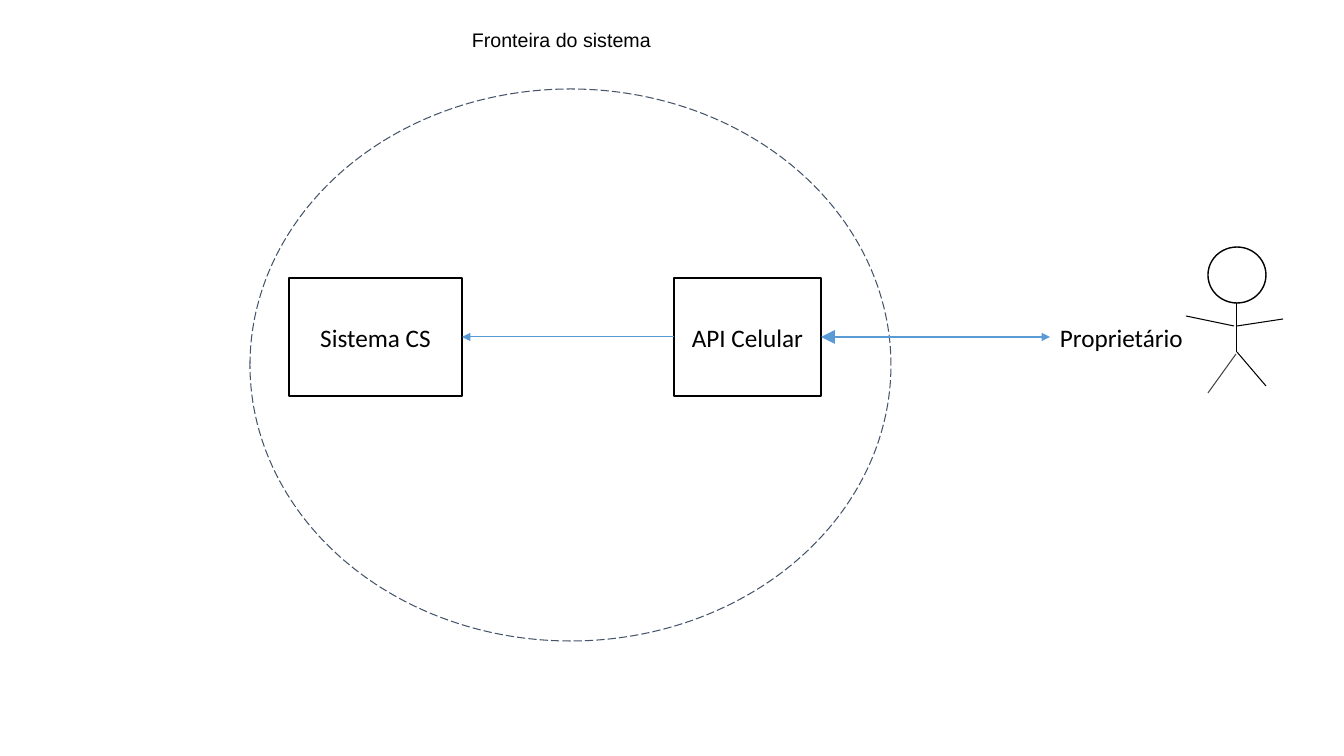
from dataclasses import dataclass

from lxml.etree import SubElement
from pptx import Presentation
from pptx.dml.color import RGBColor
from pptx.enum.dml import MSO_LINE
from pptx.enum.shapes import MSO_CONNECTOR, MSO_SHAPE
from pptx.enum.text import MSO_ANCHOR, PP_ALIGN
from pptx.oxml.ns import qn
from pptx.util import Pt

EMU_PER_PX = 914400 / 100.8


@dataclass(frozen=True)
class Theme:
    """Colours, fonts and type sizes of the slide."""
    ink: str = "000000"
    paper: str = "FFFFFF"
    leg: str = "434343"
    boundary: str = "44546A"
    link: str = "5B9BD5"
    call: str = "5698D3"
    body_font: str = "Calibri"
    title_font: str = "Arial"
    body_size: int = 18
    title_size: int = 14


THEME = Theme()


def px(n):
    """Turn pixels into EMU."""
    return round(n * EMU_PER_PX)


def rgb(value):
    """Turn a hex string into a colour."""
    return RGBColor.from_string(value)


def add_text(tf, text, font=THEME.body_font, size=THEME.body_size,
             align=PP_ALIGN.LEFT, anchor=MSO_ANCHOR.TOP):
    """Write one run into a text frame."""
    tf.vertical_anchor = anchor
    p = tf.paragraphs[0]
    p.alignment = align
    r = p.add_run()
    r.text = text
    r.font.name = font
    r.font.size = Pt(size)
    r.font.color.rgb = rgb(THEME.ink)


def add_outline(shapes, kind, box, color, width, fill=None):
    """Add a preset shape with a plain outline."""
    sp = shapes.add_shape(kind, *map(px, box))
    sp.shadow.inherit = False
    if fill:
        sp.fill.solid()
        sp.fill.fore_color.rgb = rgb(fill)
    else:
        sp.fill.background()
    sp.line.color.rgb = rgb(color)
    sp.line.width = Pt(width)
    return sp


def add_line(shapes, start, end, color=THEME.ink, width=0.75, **ends):
    """Add a straight line; ends maps headEnd or tailEnd to an arrow size."""
    c = shapes.add_connector(MSO_CONNECTOR.STRAIGHT, *map(px, (*start, *end)))
    c.line.color.rgb = rgb(color)
    c.line.width = Pt(width)
    ln = c.line._get_or_add_ln()
    for tag, size in ends.items():
        SubElement(ln, qn(f"a:{tag}"), type="triangle", w=size, len=size)
    SubElement(c._element.spPr, qn("a:effectLst"))
    return c


def add_label(s, box, text, **style):
    """Add a text box holding one label."""
    tf = s.shapes.add_textbox(*map(px, box)).text_frame
    tf.word_wrap = True
    add_text(tf, text, **style)
    return tf


def add_component(s, box, text, width):
    """Add a system component with a centred name."""
    sp = add_outline(s.shapes, MSO_SHAPE.RECTANGLE, box, THEME.ink, width, THEME.paper)
    sp.text_frame.word_wrap = True
    add_text(sp.text_frame, text, align=PP_ALIGN.CENTER, anchor=MSO_ANCHOR.MIDDLE)
    return sp


def add_actor(s, box):
    """Add a grouped stick figure: head, trunk, legs and arms."""
    x, y, w, h = box
    shapes = s.shapes.add_group_shape().shapes
    neck, hip, shoulder = (x + 51, y + 56), (x + 51, y + 105), y + 79
    add_outline(shapes, MSO_SHAPE.OVAL, (x + 22, y, 58, 56), THEME.ink, 1, THEME.paper)
    add_line(shapes, neck, hip)
    add_line(shapes, (x + 50, y + 107), (x + 22, y + h), THEME.leg)
    add_line(shapes, hip, (x + 80, y + 139))
    add_line(shapes, (x + 51, shoulder), (x + w, y + 72))
    add_line(shapes, (x + 48, shoulder), (x, y + 69))


def add_system(s, box):
    """Add the boundary, its title, both components and the call between them."""
    x, y, w, h = box
    title = add_label(s, (x + 212, y - 71, 214, 88), "Fronteira do sistema",
                      font=THEME.title_font, size=THEME.title_size)
    title.margin_top = title.margin_bottom = px(10)
    core = add_component(s, (x + 39, y + 189, 173, 118), "Sistema CS", 1)
    api = add_component(s, (x + 424, y + 189, 147, 118), "API Celular", 2)
    boundary = add_outline(s.shapes, MSO_SHAPE.OVAL, box, THEME.boundary, 0.75)
    boundary.line.dash_style = MSO_LINE.LONG_DASH
    middle = y + 248
    call = add_line(s.shapes, (x + 424, middle), (x + 212, middle),
                    THEME.call, tailEnd="med")
    call.begin_connect(api, 1)
    call.end_connect(core, 3)
    return api


def add_owner(s, box, api):
    """Add the owner's label, figure and two-way link to the API."""
    x, y, w, h = box
    add_label(s, (x, y + 70, 144, 40), "Proprietário")
    add_actor(s, (x + 136, y, w - 136, h))
    middle = y + 90
    link = add_line(s.shapes, (x, middle), (x - 229, middle), THEME.link, 1.5,
                    headEnd="med", tailEnd="lg")
    link.end_connect(api, 3)


def build():
    """Build and save the context diagram."""
    prs = Presentation()
    prs.slide_width, prs.slide_height = px(1344), px(756)
    s = prs.slides.add_slide(prs.slide_layouts[6])
    api = add_system(s, (250, 89, 641, 552))
    add_owner(s, (1050, 247, 233, 146), api)
    prs.save("out.pptx")


build()
